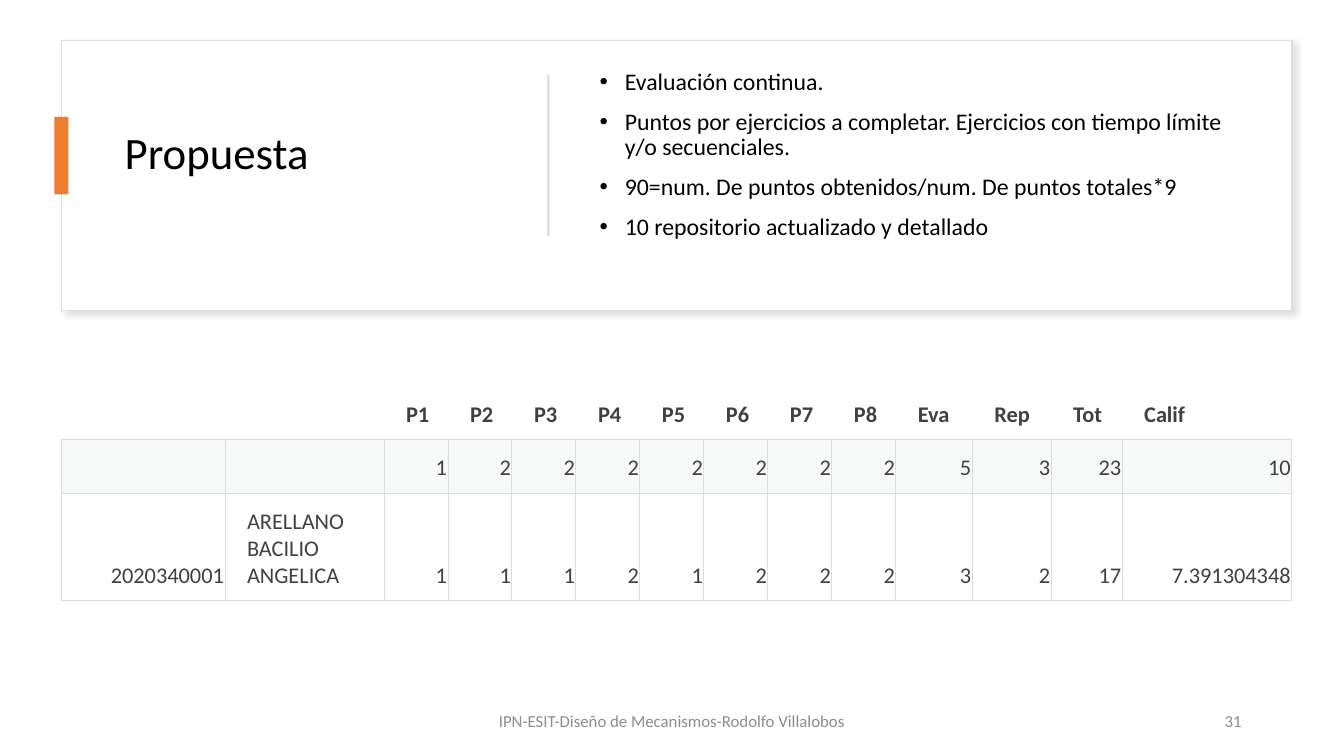
from dataclasses import dataclass

from pptx import Presentation
from pptx.dml.color import RGBColor as Rgb
from pptx.enum.shapes import MSO_SHAPE as Kind
from pptx.enum.text import MSO_ANCHOR as Anchor, PP_ALIGN as Align
from pptx.oxml import parse_xml
from pptx.oxml.ns import nsdecls
from pptx.util import Pt


@dataclass(frozen=True)
class Theme:
    font: str = "Calibri"
    white: str = "FFFFFF"
    black: str = "000000"
    edge: str = "DEDEDE"
    shade: str = "C5C3C3"
    accent: str = "ED7D31"
    split: str = "D5D5D5"
    dark: str = "404040"
    pale: str = "8C8C8C"
    rule: str = "D8DCDC"
    band: str = "D8DEDC"
    title: float = 32
    body: float = 17
    grid: float = 16
    foot: float = 12


THEME = Theme()

POINTS = [
    "Evaluación continua.",
    "Puntos por ejercicios a completar. Ejercicios con tiempo límite y/o secuenciales.",
    "90=num. De puntos obtenidos/num. De puntos totales*9",
    "10 repositorio actualizado y detallado",
]
GRADES = [
    ["", "", *(f"P{n}" for n in range(1, 9)), "Eva", "Rep", "Tot", "Calif"],
    ["", "", "1", *["2"] * 7, "5", "3", "23", "10"],
    ["2020340001", "ARELLANO BACILIO ANGELICA", *"11121222", "3", "2", "17", "7.391304348"],
]
WIDTHS = [116.8, 113.6, *[45.7] * 8, 54.6, 56.4, 50.7, 121.2]
HEIGHTS = [38.2, 38.2, 77]
EDGES = [
    {"B": THEME.rule},
    {side: THEME.rule for side in "LRTB"},
    {"L": THEME.band, "R": THEME.band, "T": THEME.rule, "B": THEME.band},
]


def make(tag, attrs="", inner=""):
    return parse_xml(f"<a:{tag} {nsdecls('a')} {attrs}>{inner}</a:{tag}>")


def tint(color, alpha):
    return f'<a:srgbClr val="{color}"><a:alpha val="{alpha * 1000}"/></a:srgbClr>'


def style(para, size, color, bold=False):
    for run in para.runs:
        font = run.font
        font.name, font.size, font.bold = THEME.font, Pt(size), bold
        font.color.rgb = Rgb.from_string(color)


def add_box(slide, box, fill, line=None):
    shape = slide.shapes.add_shape(Kind.RECTANGLE, *map(Pt, box))
    shape.shadow.inherit = False
    shape.fill.solid()
    shape.fill.fore_color.rgb = Rgb.from_string(fill)
    if line:
        shape.line.color.rgb = Rgb.from_string(line)
        shape.line.width = Pt(1)
    else:
        shape.line.fill.background()
    return shape


def add_card(slide, box):
    card = add_box(slide, box, THEME.white, THEME.edge)
    attrs = f'blurRad="{Pt(4)}" dist="{Pt(3)}" dir="2700000" algn="tl" rotWithShape="0"'
    glow = make("outerShdw", attrs, tint(THEME.shade, 50))
    card._element.spPr.find(glow.tag.replace("outerShdw", "effectLst")).append(glow)


def add_text(slide, box, lines, size, color, align=Align.LEFT, space=1.0):
    frame = slide.shapes.add_textbox(*map(Pt, box)).text_frame
    frame.word_wrap = True
    frame.vertical_anchor = Anchor.MIDDLE
    frame.text = "\n".join(lines)
    for para in frame.paragraphs:
        para.alignment = align
        para.line_spacing = space
        style(para, size, color)
    return frame


def add_list(slide, box, lines):
    frame = add_text(slide, box, lines, THEME.body, THEME.black, space=0.9)
    for index, para in enumerate(frame.paragraphs):
        if index:
            para.space_before = Pt(10)
        props = para._p.get_or_add_pPr()
        props.set("marL", str(Pt(18)))
        props.set("indent", str(-Pt(18)))
        props.append(make("buFont", 'typeface="Arial"'))
        props.append(make("buChar", 'char="•"'))


def fill_cell(cell, text, row):
    cell.text = text
    cell.vertical_anchor = Anchor.BOTTOM
    cell.margin_left, cell.margin_right = Pt(15.8), Pt(0.7)
    cell.margin_top = cell.margin_bottom = Pt(7.9)
    para = cell.text_frame.paragraphs[0]
    left = row == 0 or text.startswith("ARELLANO")
    para.alignment = Align.LEFT if left else Align.RIGHT
    style(para, THEME.grid, THEME.dark, row == 0)
    props = cell._tc.get_or_add_tcPr()
    for side, color in EDGES[row].items():
        paint = f"<a:solidFill>{tint(color, 100)}</a:solidFill>"
        props.append(make(f"ln{side}", f'w="{Pt(0.75)}"', paint))
    if row == 1:
        props.append(make("solidFill", inner=tint(THEME.band, 20)))
    else:
        cell.fill.background()


def add_grid(slide, left, top):
    size = (Pt(sum(WIDTHS)), Pt(sum(HEIGHTS)))
    table = slide.shapes.add_table(len(HEIGHTS), len(WIDTHS), Pt(left), Pt(top), *size).table
    table.first_row = table.horz_banding = False
    for col, width in zip(table.columns, WIDTHS):
        col.width = Pt(width)
    for row, height in enumerate(HEIGHTS):
        table.rows[row].height = Pt(height)
        for col, text in enumerate(GRADES[row]):
            fill_cell(table.cell(row, col), text, row)


def main():
    deck = Presentation()
    deck.slide_width, deck.slide_height = Pt(960), Pt(540)
    slide = deck.slides.add_slide(deck.slide_layouts[6])
    add_card(slide, (43.9, 28.8, 879.1, 193))
    add_text(slide, (82, 46, 280, 129.6), ["Propuesta"], THEME.title, THEME.black, space=0.9)
    add_box(slide, (38.9, 83.5, 10, 55.4), THEME.accent)
    split = add_box(slide, (334.1, 110.2, 115.2, 1.4), THEME.split)
    split.rotation = 90
    add_list(slide, (421.2, 46, 472.3, 129.6), POINTS)
    add_grid(slide, 43.9, 275.8)
    add_text(slide, (678, 500.5, 216, 28.8), ["31"], THEME.foot, THEME.pale, Align.RIGHT)
    credit = "IPN-ESIT-Diseño de Mecanismos-Rodolfo Villalobos"
    add_text(slide, (318, 500.5, 324, 28.8), [credit], THEME.foot, THEME.pale, Align.CENTER)
    deck.save("out.pptx")


if __name__ == "__main__":
    main()
